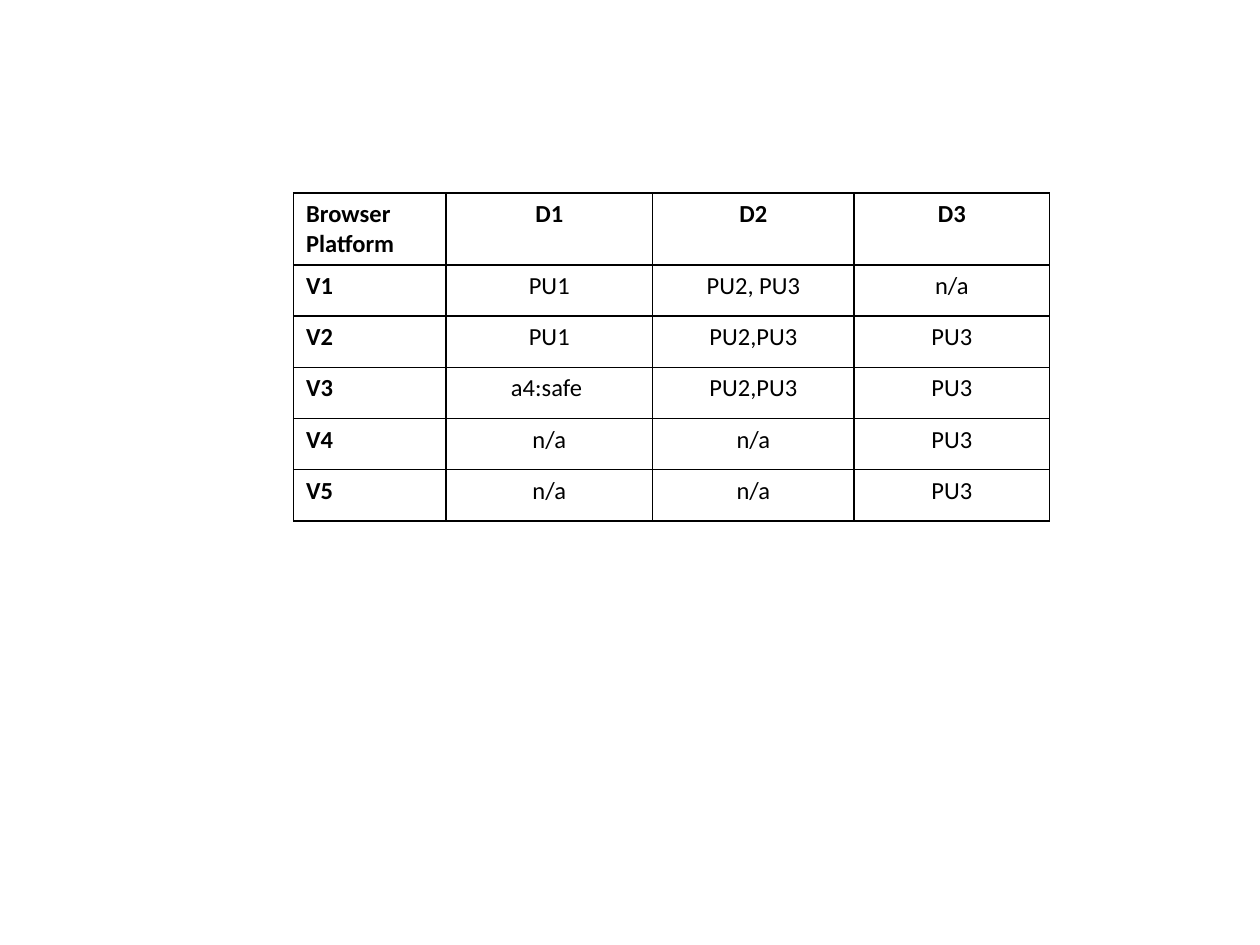
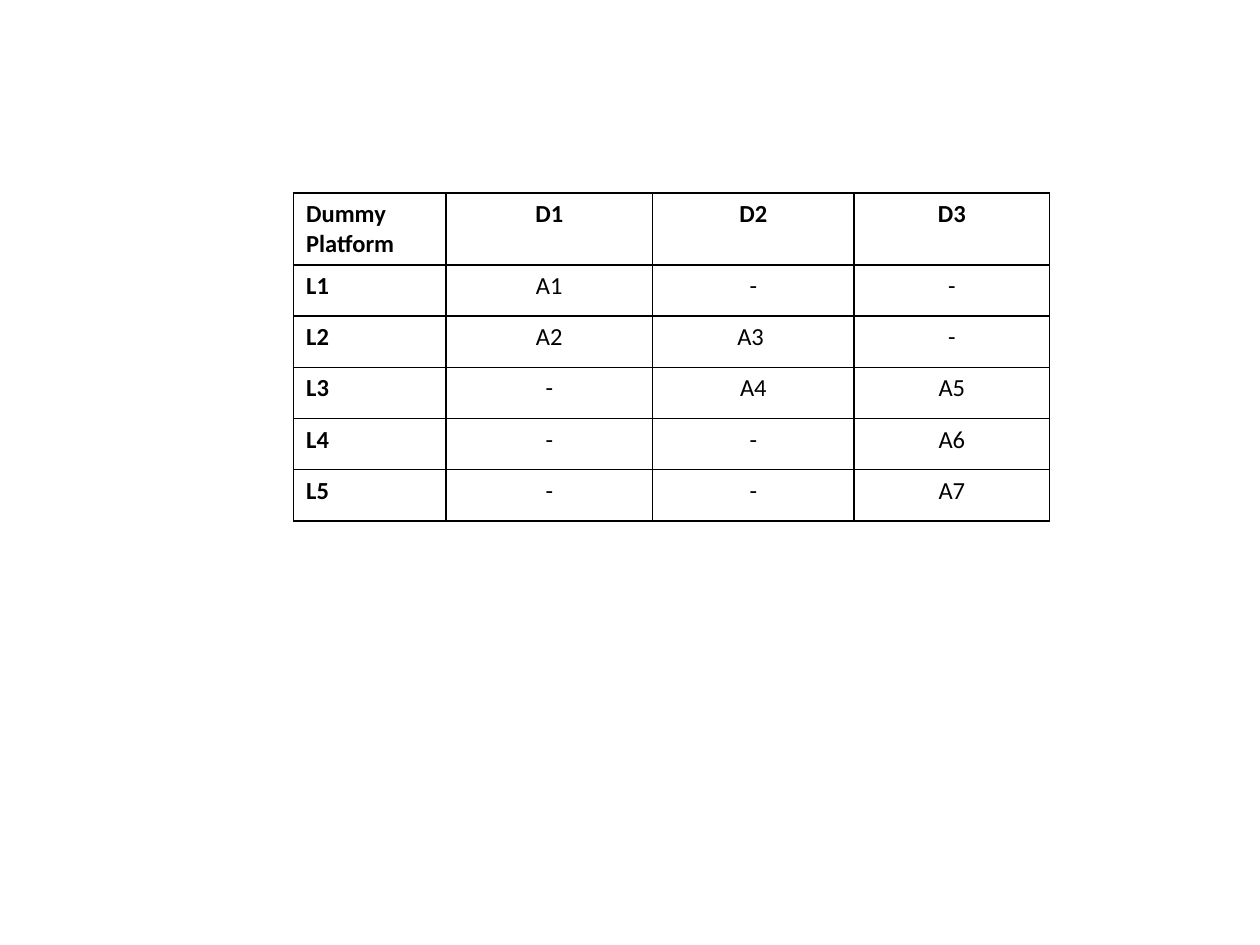
from lxml import etree
from pptx import Presentation
from pptx import util as u
from pptx.dml.color import RGBColor
from pptx.enum import text
from pptx.oxml.ns import qn

GRIDS = [
    [
        ("Browser Platform", "D1", "D2", "D3"),
        ("V1", "PU1", "PU2, PU3", "n/a"),
        ("V2", "PU1", "PU2,PU3", "PU3"),
        ("V3", "a4:safe ", "PU2,PU3", "PU3"),
        ("V4", "n/a", "n/a", "PU3"),
        ("V5", "n/a", "n/a", "PU3"),
    ],
    [
        ("Dummy Platform", "D1", "D2", "D3"),
        ("L1", "A1", "-", "-"),
        ("L2", "A2", "A3 ", "-"),
        ("L3", "-", "A4", "A5"),
        ("L4", "-", "-", "A6"),
        ("L5", "-", "-", "A7"),
    ],
]
LEFT, TOP, HEIGHT = 2.33, 1.53, 2.6
HEAD = 0.57
WIDTHS = (1.21, 1.64, 1.6, 1.55)
FONT, SIZE = "Calibri", 14
INK = "000000"


def color(code):
    return RGBColor.from_string(code)


def border(cell):
    props = cell._tc.get_or_add_tcPr()
    for side in ("a:lnL", "a:lnR", "a:lnT", "a:lnB"):
        line = etree.SubElement(props, qn(side), w=str(u.Pt(1)))
        fill = etree.SubElement(line, qn("a:solidFill"))
        etree.SubElement(fill, qn("a:srgbClr"), val=INK)


def write(cell, words, bold, center):
    border(cell)
    cell.fill.background()
    para = cell.text_frame.paragraphs[0]
    para.alignment = text.PP_ALIGN.CENTER if center else text.PP_ALIGN.LEFT
    run = para.add_run()
    run.text = words
    run.font.name = FONT
    run.font.size = u.Pt(SIZE)
    run.font.bold = bold
    run.font.color.rgb = color(INK)


def draw(slide, grid):
    box = [u.Inches(n) for n in (LEFT, TOP, sum(WIDTHS), HEIGHT)]
    table = slide.shapes.add_table(len(grid), len(WIDTHS), *box).table
    table.first_row = table.horz_banding = False
    for col, width in zip(table.columns, WIDTHS):
        col.width = u.Inches(width)
    for r, row in enumerate(grid):
        high = (HEIGHT - HEAD) / (len(grid) - 1) if r else HEAD
        table.rows[r].height = u.Inches(high)
        for c, words in enumerate(row):
            write(table.cell(r, c), words, r == 0 or c == 0, c > 0)


def main():
    deck = Presentation()
    deck.slide_width, deck.slide_height = u.Inches(10), u.Inches(7.5)
    for grid in GRIDS:
        draw(deck.slides.add_slide(deck.slide_layouts[6]), grid)
    deck.save("out.pptx")


if __name__ == "__main__":
    main()
